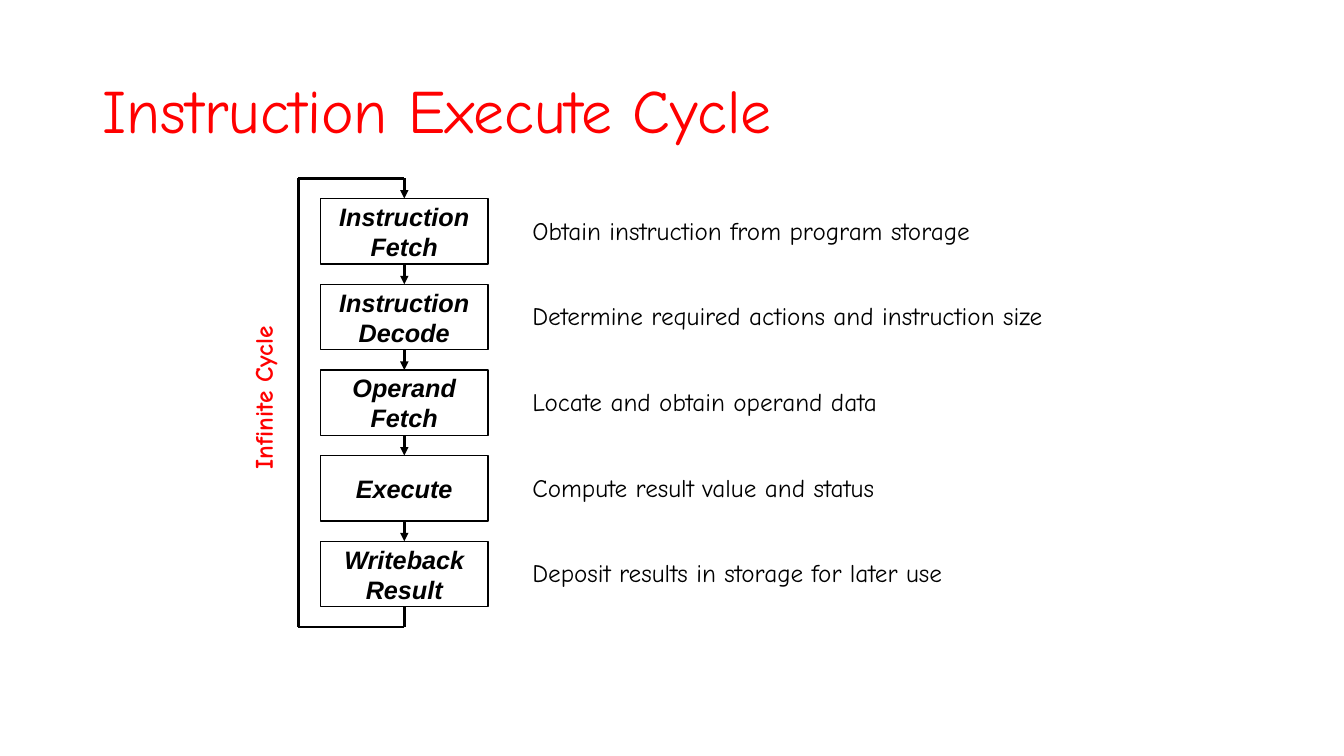
import itertools
from dataclasses import dataclass

import lxml.etree
import pptx
import pptx.dml.color
import pptx.enum.shapes
import pptx.enum.text
import pptx.oxml.ns
import pptx.util

PX = 9144
ALIGN = pptx.enum.text.PP_ALIGN
ANCHOR = pptx.enum.text.MSO_ANCHOR
TOP, BOTTOM = 0, 2


@dataclass(frozen=True)
class Theme:
    ink: str = "000000"
    accent: str = "FF0000"
    heading_font: str = "Comic Neue"
    stage_font: str = "Arial"
    title_size: int = 44
    body_size: int = 18
    outline: int = 1
    arrow: int = 2


THEME = Theme()

STAGES = [
    ("Instruction\nFetch", "Obtain instruction from program storage"),
    ("Instruction\nDecode", "Determine required actions and instruction size"),
    ("Operand\nFetch", "Locate and obtain operand data"),
    ("Execute", "Compute result value and status"),
    ("Writeback\nResult", "Deposit results in storage for later use"),
]
STAGE_LEFT, STAGE_TOP, STAGE_WIDTH, STAGE_HEIGHT = 318, 197, 166, 65
STAGE_GAP = 20
STAGE_PITCH = STAGE_HEIGHT + STAGE_GAP
STAGE_CENTER = STAGE_LEFT + STAGE_WIDTH // 2
LOOP_LEFT = 296
NOTE_LEFT, NOTE_OFFSET, NOTE_WIDTH, NOTE_HEIGHT = 521, 15, 615, 35


def px(*lengths):
    return [pptx.util.Emu(length * PX) for length in lengths]


def rgb(color):
    return pptx.dml.color.RGBColor.from_string(color)


def write_text(shape, text, font, size, color, align, bold=False, italic=False,
               anchor=ANCHOR.TOP, spacing=None, margins=(7, 3)):
    frame = shape.text_frame
    frame.text = text
    frame.word_wrap = True
    frame.vertical_anchor = anchor
    frame.margin_left = frame.margin_right = px(margins[0])[0]
    frame.margin_top = frame.margin_bottom = px(margins[1])[0]
    for paragraph in frame.paragraphs:
        paragraph.alignment = align
        paragraph.line_spacing = spacing
        for run in paragraph.runs:
            run.font.name = font
            run.font.size = pptx.util.Pt(size)
            run.font.bold = bold
            run.font.italic = italic
            run.font.color.rgb = rgb(color)


def add_title(slide, text):
    shape = slide.shapes.add_textbox(*px(92, 40, 1150, 145))
    write_text(shape, text, THEME.heading_font, THEME.title_size, THEME.accent,
               ALIGN.LEFT, anchor=ANCHOR.MIDDLE, spacing=0.9, margins=(10, 5))


def add_label(slide, box, text, color, align, bold=False, rotation=0):
    shape = slide.shapes.add_textbox(*px(*box))
    shape.rotation = rotation
    write_text(shape, text, THEME.heading_font, THEME.body_size, color, align,
               bold=bold, spacing=0.97)


def add_stage(slide, top, text):
    shape = slide.shapes.add_shape(
        pptx.enum.shapes.MSO_SHAPE.RECTANGLE,
        *px(STAGE_LEFT, top, STAGE_WIDTH, STAGE_HEIGHT))
    shape.shadow.inherit = False
    shape.fill.background()
    shape.line.color.rgb = rgb(THEME.ink)
    shape.line.width = pptx.util.Pt(THEME.outline)
    write_text(shape, text, THEME.stage_font, THEME.body_size, THEME.ink,
               ALIGN.CENTER, bold=True, italic=True, anchor=ANCHOR.MIDDLE)
    return shape


def add_line(slide, start, end, arrow=False):
    line = slide.shapes.add_connector(
        pptx.enum.shapes.MSO_CONNECTOR.STRAIGHT, *px(*start, *end))
    line.line.color.rgb = rgb(THEME.ink)
    line.line.width = pptx.util.Pt(THEME.arrow)
    if arrow:
        lxml.etree.SubElement(line.line._get_or_add_ln(),
                              pptx.oxml.ns.qn("a:tailEnd"), type="triangle")
    lxml.etree.SubElement(line._element.spPr, pptx.oxml.ns.qn("a:effectLst"))
    return line


def add_return_loop(slide, first, last):
    last_bottom = STAGE_TOP + (len(STAGES) - 1) * STAGE_PITCH + STAGE_HEIGHT
    loop_top = STAGE_TOP - STAGE_GAP
    loop_bottom = last_bottom + STAGE_GAP
    corners = [
        (STAGE_CENTER, last_bottom),
        (STAGE_CENTER, loop_bottom),
        (LOOP_LEFT, loop_bottom),
        (LOOP_LEFT, loop_top),
        (STAGE_CENTER, loop_top),
    ]
    lines = [add_line(slide, start, end)
             for start, end in itertools.pairwise(corners)]
    lines[0].begin_connect(last, BOTTOM)
    entry = add_line(slide, corners[-1], (STAGE_CENTER, STAGE_TOP), arrow=True)
    entry.end_connect(first, TOP)


def main():
    presentation = pptx.Presentation()
    presentation.slide_width, presentation.slide_height = px(1333, 750)
    slide = presentation.slides.add_slide(presentation.slide_layouts[6])

    add_title(slide, "Instruction Execute Cycle")
    stages = []
    for index, (name, note) in enumerate(STAGES):
        top = STAGE_TOP + index * STAGE_PITCH
        stages.append(add_stage(slide, top, name))
        add_label(slide, (NOTE_LEFT, top + NOTE_OFFSET, NOTE_WIDTH, NOTE_HEIGHT),
                  note, THEME.ink, ALIGN.JUSTIFY)

    for index, (upper, lower) in enumerate(itertools.pairwise(stages), start=1):
        top = STAGE_TOP + index * STAGE_PITCH
        arrow = add_line(slide, (STAGE_CENTER, top - STAGE_GAP),
                         (STAGE_CENTER, top), arrow=True)
        arrow.begin_connect(upper, BOTTOM)
        arrow.end_connect(lower, TOP)

    add_return_loop(slide, stages[0], stages[-1])
    add_label(slide, (16, 377, 492, 35), "Infinite Cycle", THEME.accent,
              ALIGN.CENTER, bold=True, rotation=270)
    presentation.save("out.pptx")


if __name__ == "__main__":
    main()
